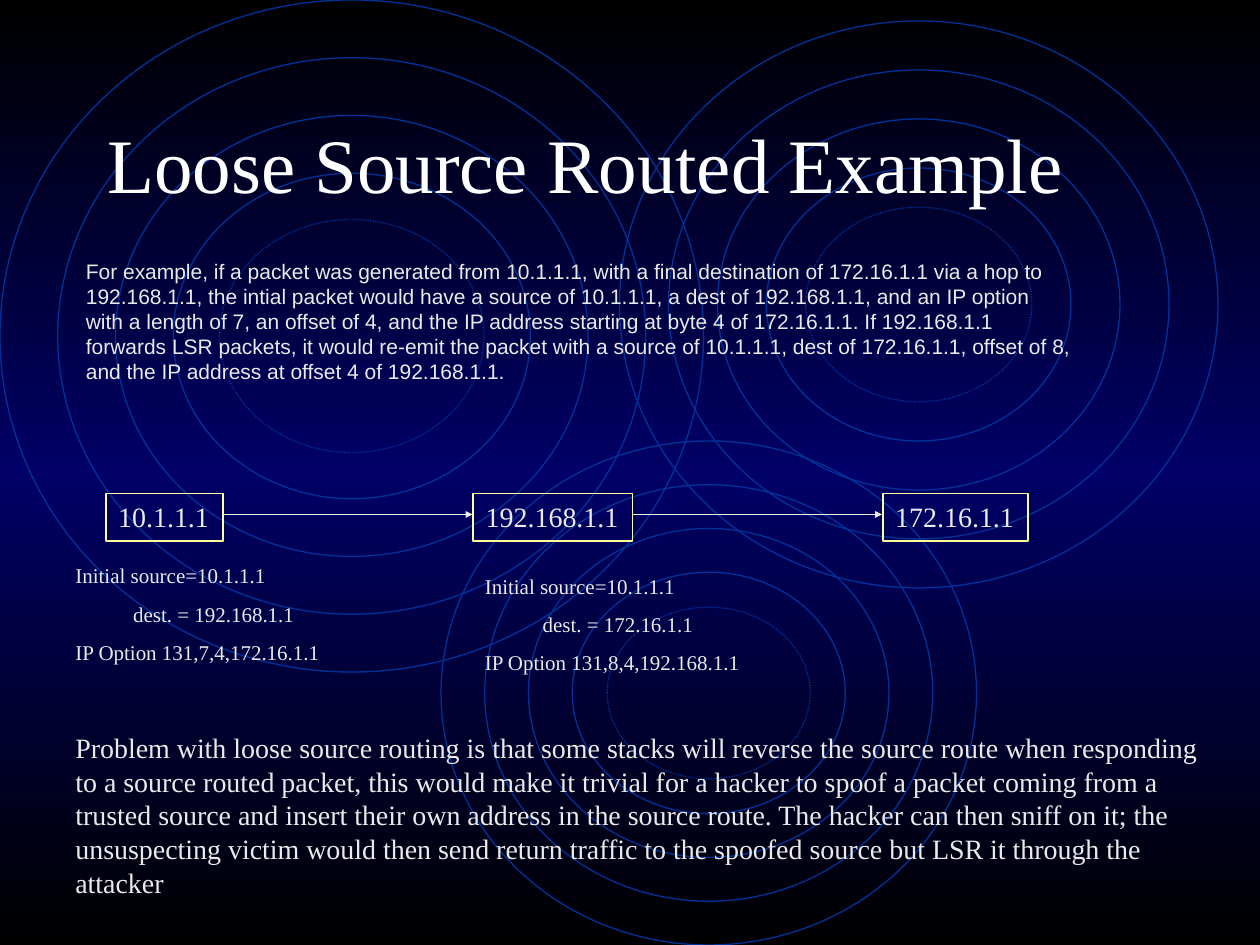
from copy import deepcopy

from lxml import etree
from pptx import Presentation
from pptx.dml.color import RGBColor
from pptx.enum.dml import MSO_LINE
from pptx.enum.shapes import MSO_CONNECTOR, MSO_SHAPE
from pptx.enum.text import MSO_ANCHOR, MSO_AUTO_SIZE, PP_ALIGN
from pptx.oxml.ns import qn
from pptx.util import Pt

BLACK = RGBColor(0x00, 0x00, 0x00)
NAVY = RGBColor(0x00, 0x00, 0x66)
RING_BLUE = RGBColor(0x00, 0x33, 0x99)
WHITE = RGBColor(0xFF, 0xFF, 0xFF)
PALE = RGBColor(0xEA, 0xEA, 0xEA)
YELLOW = RGBColor(0xFF, 0xFF, 0x99)

SERIF, SANS = "Times New Roman", "Arial"
OVAL, RECTANGLE = MSO_SHAPE.OVAL, MSO_SHAPE.RECTANGLE
STRAIGHT, DOTTED = MSO_CONNECTOR.STRAIGHT, MSO_LINE.ROUND_DOT
TOP, MIDDLE, LEFT = MSO_ANCHOR.TOP, MSO_ANCHOR.MIDDLE, PP_ALIGN.LEFT
GROW, FIXED = MSO_AUTO_SIZE.SHAPE_TO_FIT_TEXT, MSO_AUTO_SIZE.NONE

RING_STEPS = (0, 1, 2, 3, 3.8)
DEST_INDENT = Pt(33)

EXAMPLE = (
    "For example, if a packet was generated from 10.1.1.1, with a final destination of 172.16.1.1 via a hop to",
    "192.168.1.1, the intial packet would have a source of 10.1.1.1, a dest of 192.168.1.1, and an IP option",
    "with a length of 7, an offset of 4, and the IP address starting at byte 4 of 172.16.1.1. If 192.168.1.1",
    "forwards LSR packets, it would re-emit the packet with a source of 10.1.1.1, dest of 172.16.1.1, offset of 8,",
    "and the IP address at offset 4 of 192.168.1.1.",
)
PROBLEM = (
    "Problem with loose source routing is that some stacks will reverse the source route when responding "
    "to a source routed packet, this would make it trivial for a hacker to spoof a packet coming from a "
    "trusted source and insert their own address in the source route. The hacker can then sniff on it; the "
    "unsuspecting victim would then send return traffic to the spoofed source but LSR it through the attacker"
)
HOSTS = (("10.1.1.1", 60.5, 67), ("192.168.1.1", 270.5, 91), ("172.16.1.1", 504.5, 83))


def paint_background(page):
    fill = page.background.fill
    fill.gradient()
    fill.gradient_angle = 270
    stop_list = page.element.xpath(".//a:gsLst")[0]
    stop_list.append(deepcopy(stop_list[0]))
    for stop, position, color in zip(fill.gradient_stops, (0, 0.5, 1), (BLACK, NAVY, BLACK)):
        stop.position = position
        stop.color.rgb = color


def add_rings(page, left, top, width, height, step):
    for factor in RING_STEPS:
        inset = step * factor
        ring = page.shapes.add_shape(
            OVAL, Pt(left + inset), Pt(top + inset), Pt(width - 2 * inset), Pt(height - 2 * inset))
        ring.shadow.inherit = False
        ring.fill.background()
        ring.line.color.rgb = RING_BLUE
        ring.line.width = Pt(0.75)
    ring.line.dash_style = DOTTED


def write_lines(frame, lines, font_name, size, gap=0, wrap=False):
    frame.word_wrap = wrap
    frame.auto_size = FIXED if wrap else GROW
    frame.vertical_anchor = TOP
    for index, line in enumerate(lines):
        para = frame.paragraphs[0] if index == 0 else frame.add_paragraph()
        para.text = line
        para.alignment = LEFT
        if index:
            para.space_before = Pt(gap)
        para.font.name = font_name
        para.font.size = Pt(size)
        para.font.color.rgb = PALE


def set_title(page, left, top, width, height):
    title = page.shapes.title
    title.left, title.top, title.width, title.height = Pt(left), Pt(top), Pt(width), Pt(height)
    title.text_frame.text = "Loose Source Routed Example"
    title.text_frame.vertical_anchor = MIDDLE
    para = title.text_frame.paragraphs[0]
    para.alignment = LEFT
    para.font.name = SERIF
    para.font.size = Pt(44)
    para.font.color.rgb = WHITE


def add_text(page, left, top, width, height, lines, font_name, size, gap=0, wrap=False):
    box = page.shapes.add_textbox(Pt(left), Pt(top), Pt(width), Pt(height))
    write_lines(box.text_frame, lines, font_name, size, gap, wrap)
    return box


def add_host(page, left, top, width, height, address):
    host = page.shapes.add_shape(RECTANGLE, Pt(left), Pt(top), Pt(width), Pt(height))
    host.shadow.inherit = False
    host.fill.background()
    host.line.color.rgb = YELLOW
    host.line.width = Pt(1)
    write_lines(host.text_frame, [address], SERIF, 16)


def add_arrow(page, start, end, level):
    arrow = page.shapes.add_connector(STRAIGHT, Pt(start), Pt(level), Pt(end), Pt(level))
    arrow.line.color.rgb = PALE
    arrow.line.width = Pt(1)
    etree.SubElement(arrow.line._get_or_add_ln(), qn("a:tailEnd"), type="triangle", w="sm", len="sm")
    etree.SubElement(arrow._element.spPr, qn("a:effectLst"))


def add_route(page, top, height):
    for address, left, width in HOSTS:
        add_host(page, left, top, width, height, address)
    for (_, left, width), (_, target, _) in zip(HOSTS, HOSTS[1:]):
        add_arrow(page, left + width, target - 0.5, top + 12)


def add_packet(page, left, top, width, height, dest, option):
    lines = ("Initial source=10.1.1.1", f"dest. = {dest}", f"IP Option {option}")
    box = add_text(page, left, top, width, height, lines, SERIF, 12, gap=7.5)
    dest_para = box.text_frame.paragraphs[1]
    dest_para._p.get_or_add_pPr().set("marL", str(DEST_INDENT))


def main():
    deck = Presentation()
    deck.slide_width, deck.slide_height = Pt(720), Pt(540)
    page = deck.slides.add_slide(deck.slide_layouts[5])
    paint_background(page)
    add_rings(page, 0, 0, 402, 384, 33)
    add_rings(page, 252, 252, 306, 288, 25)
    add_rings(page, 354, 12, 342, 324, 28)
    title = page.shapes.title
    page.shapes._spTree.append(title._element)
    set_title(page, 54, 48, 612, 90)
    add_text(page, 42, 144, 581, 101.5, EXAMPLE, SANS, 12)
    add_route(page, 282, 27)
    add_packet(page, 36, 318, 154, 65.5, "192.168.1.1", "131,7,4,172.16.1.1")
    add_packet(page, 270, 324, 160.5, 65.5, "172.16.1.1", "131,8,4,192.168.1.1")
    add_text(page, 36, 414, 665, 126, [PROBLEM], SERIF, 16, wrap=True)
    deck.save("out.pptx")


if __name__ == "__main__":
    main()
